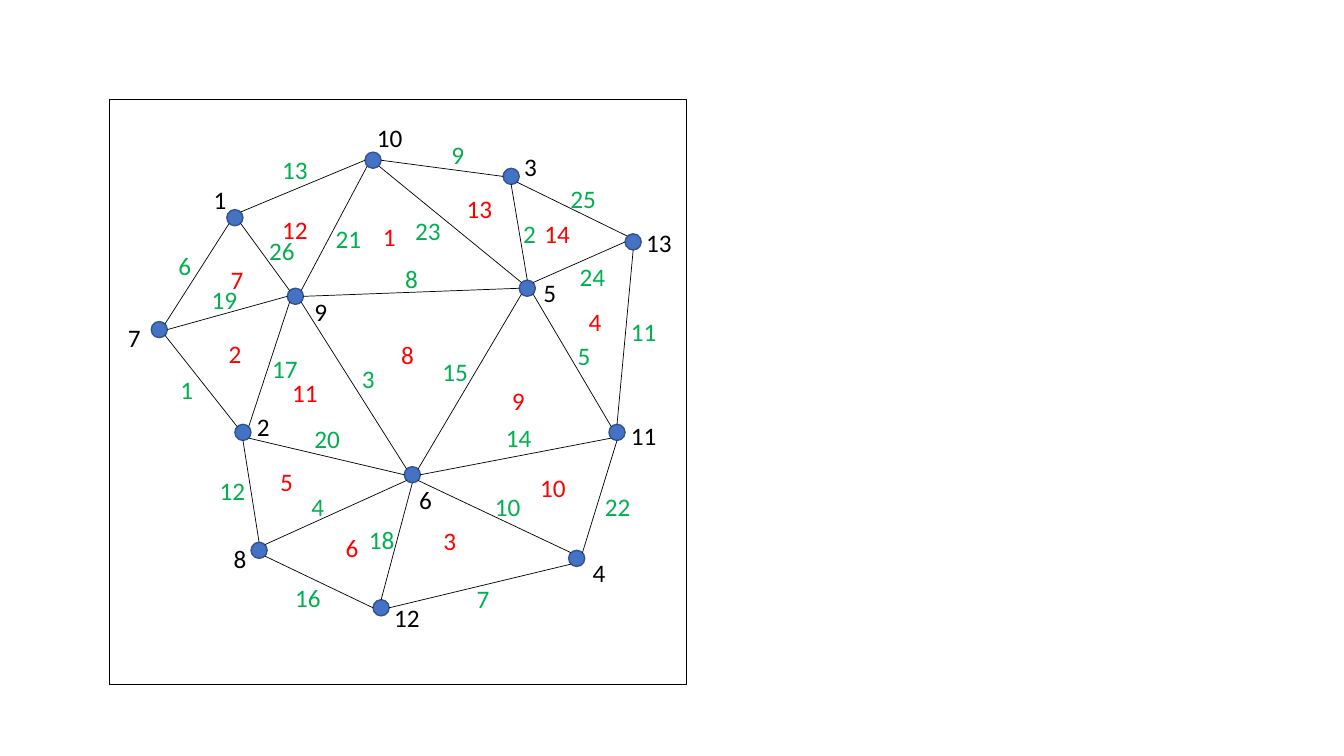
"""Draw a triangle mesh with numbered nodes, edges and faces."""
from pptx import Presentation
from pptx.dml.color import RGBColor
from pptx.enum.shapes import MSO_CONNECTOR, MSO_SHAPE
from pptx.enum.text import MSO_AUTO_SIZE
from pptx.oxml.ns import qn
from pptx.util import Inches, Pt
from lxml import etree

LINE = MSO_CONNECTOR.STRAIGHT
DOT = MSO_SHAPE.OVAL
GROW = MSO_AUTO_SIZE.SHAPE_TO_FIT_TEXT

BLACK = RGBColor(0x00, 0x00, 0x00)
RED = RGBColor(0xFF, 0x00, 0x00)
GREEN = RGBColor(0x00, 0xB0, 0x50)
BLUE = RGBColor(0x44, 0x72, 0xC4)
NAVY = RGBColor(0x32, 0x54, 0x91)

FONT = "Calibri"
SIZE = 0.16
FRAME = (1.08, 0.99, 6.81, 6.79)

NODES = [
    (2.25, 2.08), (2.33, 4.21), (4.99, 1.67), (5.64, 5.46), (5.15, 2.78),
    (4.01, 4.63), (1.5, 3.19), (2.49, 5.38), (2.85, 2.86), (3.62, 1.51),
    (6.04, 4.21), (3.7, 5.95), (6.2, 2.32),
]

EDGES = [
    (7, "SE", 2, "NW"), (5, "N", 3, "S"), (6, "NW", 9, "SE"),
    (8, "NE", 6, "SW"), (11, "NW", 5, "SE"), (1, "SW", 7, "NE"),
    (12, "E", 4, "SW"), (9, "E", 5, "W"), (3, "W", 10, "E"),
    (6, "SE", 4, "NW"), (11, "N", 13, "S"), (8, "N", 2, "S"),
    (1, "NE", 10, "W"), (6, "E", 11, "SW"), (6, "NE", 5, "SW"),
    (8, "SE", 12, "W"), (2, "NE", 9, "SW"), (12, "N", 6, "S"),
    (7, "E", 9, "W"), (2, "SE", 6, "W"), (9, "NE", 10, "SW"),
    (4, "NE", 11, "S"), (5, "NW", 10, "SE"), (5, "NE", 13, "W"),
    (3, "SE", 13, "NW"), (1, "SE", 9, "NW"),
]

LABELS = {
    BLACK: [
        (2.02, 1.78), (2.45, 4.03), (5.1, 1.45), (5.78, 5.48), (5.29, 2.7),
        (4.06, 4.76), (1.17, 3.15), (2.22, 5.34), (3.02, 2.89), (3.64, 1.16),
        (6.16, 4.12), (3.81, 5.93), (6.31, 2.21),
    ],
    RED: [
        (3.7, 2.15), (2.17, 3.31), (4.3, 5.16), (5.74, 2.99), (2.68, 4.58),
        (3.33, 5.23), (2.19, 2.57), (3.88, 3.32), (4.98, 3.77), (5.26, 4.64),
        (2.8, 3.69), (2.7, 2.08), (4.53, 1.87), (5.3, 2.12),
    ],
    GREEN: [
        (1.69, 3.66), (5.09, 2.12), (3.49, 3.56), (2.99, 4.83), (5.63, 3.33),
        (1.67, 2.43), (4.63, 5.74), (3.92, 2.56), (4.38, 1.33), (4.81, 4.83),
        (6.16, 3.09), (2.08, 4.67), (2.7, 1.48), (4.92, 4.14), (4.29, 3.49),
        (2.83, 5.73), (2.6, 3.46), (3.56, 5.15), (2, 2.77), (3.02, 4.15),
        (3.23, 2.17), (5.9, 4.83), (4.02, 2.09), (5.65, 2.54), (5.56, 1.77),
        (2.57, 2.29),
    ],
}


def rim(node, side):
    """Return the point on a node's rim that faces a compass side."""
    x, y = NODES[node - 1]
    dx = ("E" in side) - ("W" in side)
    dy = ("S" in side) - ("N" in side)
    reach = SIZE / 2 * (0.71 if dx and dy else 1)
    return x + SIZE / 2 + dx * reach, y + SIZE / 2 + dy * reach


def add_line(slide, start, end):
    """Draw a thin black line between two points."""
    line = slide.shapes.add_connector(LINE, *map(Inches, start + end))
    line.line.color.rgb = BLACK
    line.line.width = Pt(0.5)
    etree.SubElement(line.element.spPr, qn("a:effectLst"))


def add_node(slide, x, y):
    """Draw one mesh node."""
    dot = slide.shapes.add_shape(DOT, *map(Inches, (x, y, SIZE, SIZE)))
    dot.shadow.inherit = False
    dot.fill.solid()
    dot.fill.fore_color.rgb = BLUE
    dot.line.color.rgb = NAVY
    dot.line.width = Pt(1)


def add_label(slide, text, x, y, color):
    """Write one number."""
    width = 0.33 if len(text) == 1 else 0.46
    box = slide.shapes.add_textbox(*map(Inches, (x, y, width, 0.4)))
    frame = box.text_frame
    frame.word_wrap = False
    frame.auto_size = GROW
    run = frame.paragraphs[0].add_run()
    run.text = text
    run.font.name = FONT
    run.font.size = Pt(18)
    run.font.color.rgb = color


def main():
    """Build and save the slide."""
    deck = Presentation()
    deck.slide_width, deck.slide_height = Inches(13.33), Inches(7.5)
    slide = deck.slides.add_slide(deck.slide_layouts[6])
    for x, y in NODES:
        add_node(slide, x, y)
    for a, out, b, to in EDGES:
        add_line(slide, rim(a, out), rim(b, to))
    left, top, right, low = FRAME
    for x in (left, right):
        add_line(slide, (x, top), (x, low))
    for y in (top, low):
        add_line(slide, (left, y), (right, y))
    for color, spots in LABELS.items():
        for number, (x, y) in enumerate(spots, 1):
            add_label(slide, str(number), x, y, color)
    deck.save("out.pptx")


if __name__ == "__main__":
    main()
